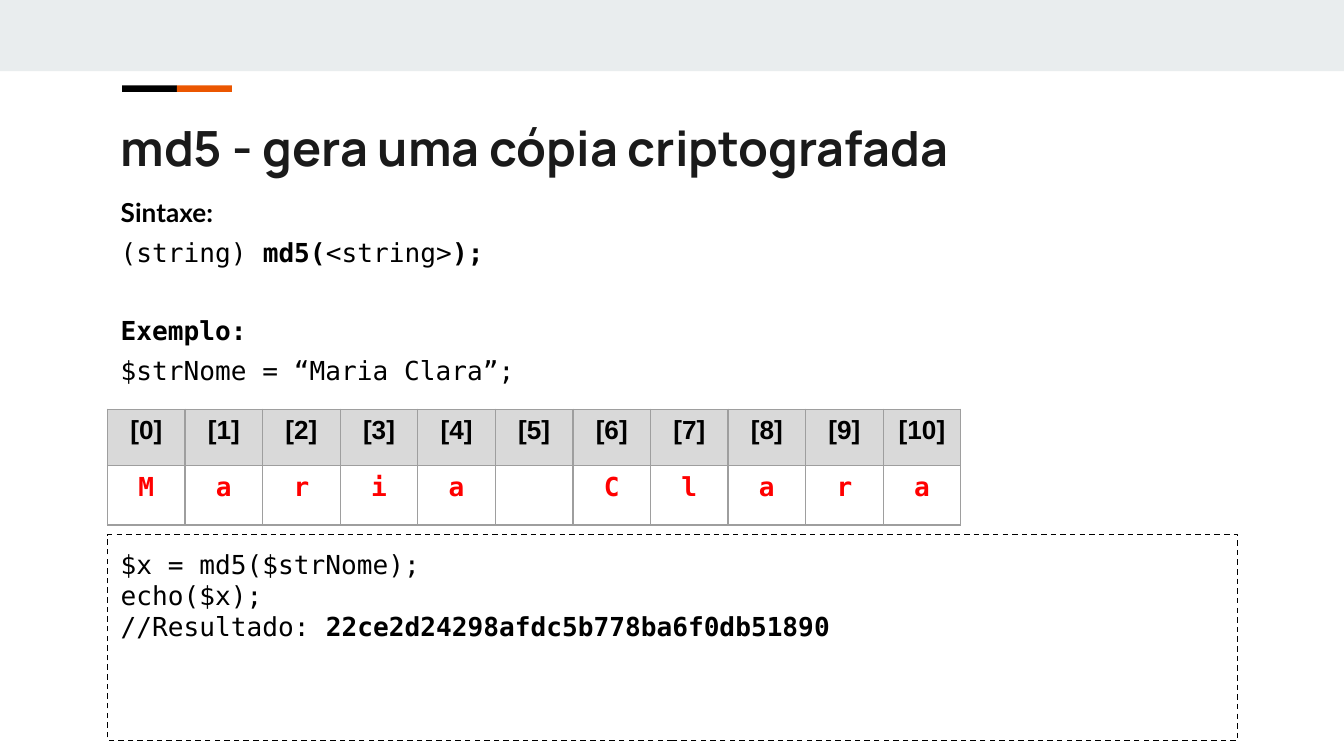
from dataclasses import dataclass

from lxml import etree
from pptx import Presentation
from pptx.dml.color import RGBColor
from pptx.enum import dml, shapes, text
from pptx.oxml import ns
from pptx.util import Pt


@dataclass(frozen=True)
class Theme:
    """Colours, fonts and type sizes of the slide."""
    band: str = "E9EDEE"
    accent: str = "EB5600"
    ink: str = "000000"
    title: str = "1A1A1A"
    head_fill: str = "D9D9D9"
    grid: str = "9E9E9E"
    letter: str = "FF0000"
    title_font: str = "Manrope"
    label_font: str = "Lato"
    code_font: str = "DejaVu Sans Mono"
    index_font: str = "Arial"
    title_size: float = 26
    body_size: float = 14


T = Theme()
LEFT, WIDTH, COL = 57.6, 605.5, 41.57


def rgb(value):
    """Turn a hex string into a colour."""
    return RGBColor.from_string(value)


def add_run(p, content, font=T.code_font, size=T.body_size, color=T.ink, bold=False):
    """Append formatted text to a paragraph."""
    r = p.add_run()
    r.text = content
    r.font.name, r.font.size, r.font.bold = font, Pt(size), bold
    r.font.color.rgb = rgb(color)


def fill_frame(tf, lines):
    """Write lines, each a space before and a list of (text, format) runs."""
    tf.word_wrap = True
    tf.vertical_anchor = text.MSO_ANCHOR.TOP
    tf.margin_left = tf.margin_right = tf.margin_top = tf.margin_bottom = Pt(7.2)
    for i, (before, runs) in enumerate(lines):
        p = tf.add_paragraph() if i else tf.paragraphs[0]
        p.alignment = text.PP_ALIGN.LEFT
        p.space_before = Pt(before)
        for content, style in runs:
            add_run(p, content, **style)


def add_text(s, top, height, lines):
    """Add a text box in the content column."""
    sp = s.shapes.add_textbox(Pt(LEFT), Pt(top), Pt(WIDTH), Pt(height))
    fill_frame(sp.text_frame, lines)


def add_rect(s, left, top, width, height, fill=None):
    """Add a rectangle without outline, filled if a colour is given."""
    sp = s.shapes.add_shape(shapes.MSO_SHAPE.RECTANGLE, Pt(left), Pt(top), Pt(width), Pt(height))
    sp.shadow.inherit = False
    sp.line.fill.background()
    if fill:
        sp.fill.solid()
        sp.fill.fore_color.rgb = rgb(fill)
    else:
        sp.fill.background()
    return sp


def add_code_box(s, top, height, lines):
    """Add a dashed frame that holds code."""
    sp = add_rect(s, LEFT, top, WIDTH, height)
    sp.line.color.rgb = rgb(T.ink)
    sp.line.width = Pt(0.75)
    sp.line.dash_style = dml.MSO_LINE.DASH
    fill_frame(sp.text_frame, lines)


def set_borders(cell):
    """Draw a thin line on each side of a cell."""
    props = cell._tc.get_or_add_tcPr()
    for i, side in enumerate(("lnL", "lnR", "lnT", "lnB")):
        ln = etree.Element(ns.qn(f"a:{side}"), w=str(Pt(0.75)))
        fill = etree.SubElement(ln, ns.qn("a:solidFill"))
        etree.SubElement(fill, ns.qn("a:srgbClr"), val=T.grid)
        props.insert(i, ln)


def fill_cell(cell, content, fill=None, **style):
    """Format one table cell with centred text."""
    cell.margin_left = cell.margin_right = Pt(7.2)
    cell.margin_top = cell.margin_bottom = Pt(3.6)
    if fill:
        cell.fill.solid()
        cell.fill.fore_color.rgb = rgb(fill)
    else:
        cell.fill.background()
    set_borders(cell)
    p = cell.text_frame.paragraphs[0]
    p.alignment = text.PP_ALIGN.CENTER
    if content.strip():
        add_run(p, content, bold=True, **style)


def add_letter_table(s, word, top, heights):
    """Show each letter of a word under its index."""
    table = s.shapes.add_table(2, len(word), Pt(LEFT), Pt(top),
                               Pt(COL * len(word)), Pt(sum(heights))).table
    for row, height in zip(table.rows, heights):
        row.height = Pt(height)
    for i, letter in enumerate(word):
        table.columns[i].width = Pt(COL)
        fill_cell(table.cell(0, i), f"[{i}]", T.head_fill, font=T.index_font)
        fill_cell(table.cell(1, i), letter, color=T.letter)


def main():
    """Build and save the slide."""
    prs = Presentation()
    prs.slide_width, prs.slide_height = Pt(720), Pt(405)
    s = prs.slides.add_slide(prs.slide_layouts[6])
    bold = {"bold": True}

    add_rect(s, 0, 0, 720, 38.2, T.band)
    for i, color in enumerate((T.ink, T.accent)):
        add_rect(s, 65.4 + 29.4 * i, 45.7, 29.4, 3.6, color)

    title = {"font": T.title_font, "size": T.title_size, "color": T.title, "bold": True}
    add_text(s, 56, 42.5, [(0, [("md5 - gera uma cópia criptografada", title)])])
    add_text(s, 98, 110, [
        (0, [("Sintaxe:", {"font": T.label_font, "bold": True})]),
        (4.4, [("(string) ", {}), ("md5(", bold), ("<string>", {}), (");", bold)]),
        (25.3, [("Exemplo:", bold)]),
        (4.4, [("$strNome = “Maria Clara”;", {})]),
    ])
    add_letter_table(s, "Maria Clara", 219.3, (30, 32))
    add_code_box(s, 286.4, 110.3, [
        (0, [("$x = md5($strNome);", {})]),
        (0, [("echo($x);", {})]),
        (0, [("//Resultado: ", {}), ("22ce2d24298afdc5b778ba6f0db51890", bold)]),
    ])
    prs.save("out.pptx")


if __name__ == "__main__":
    main()
